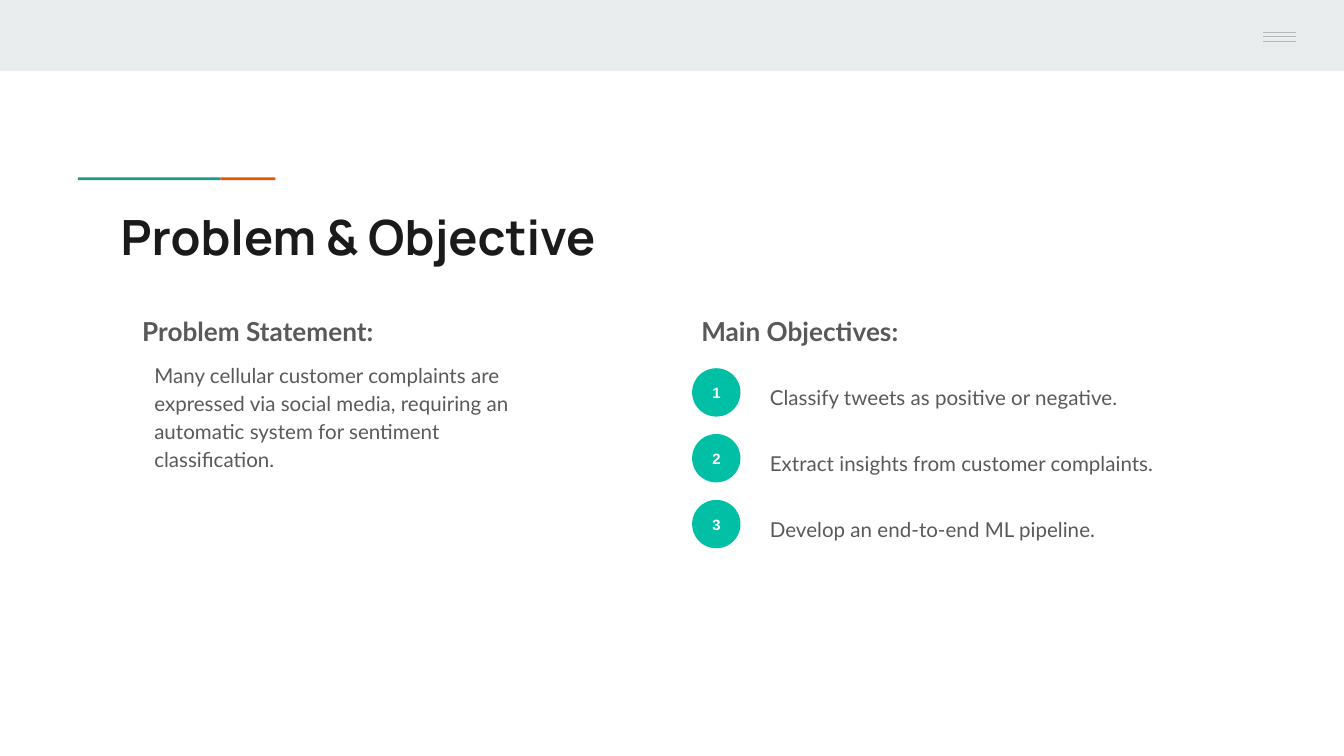
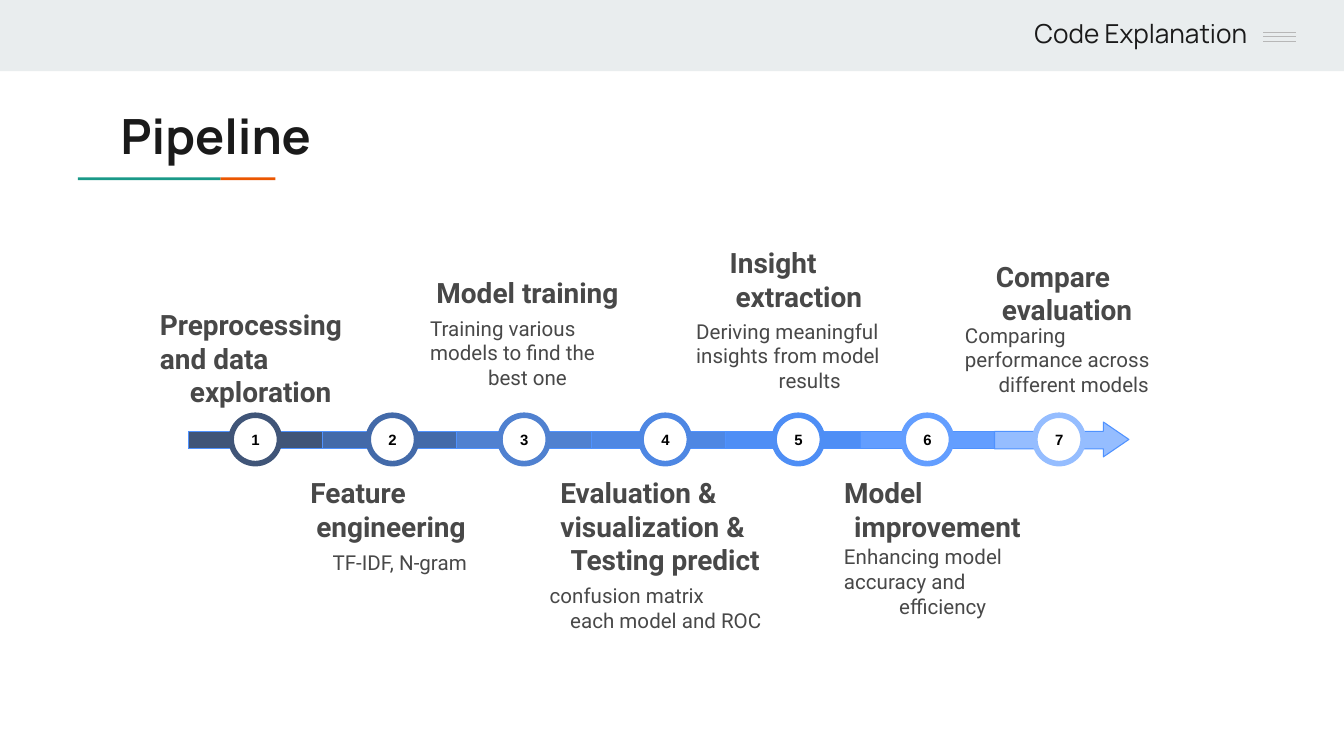
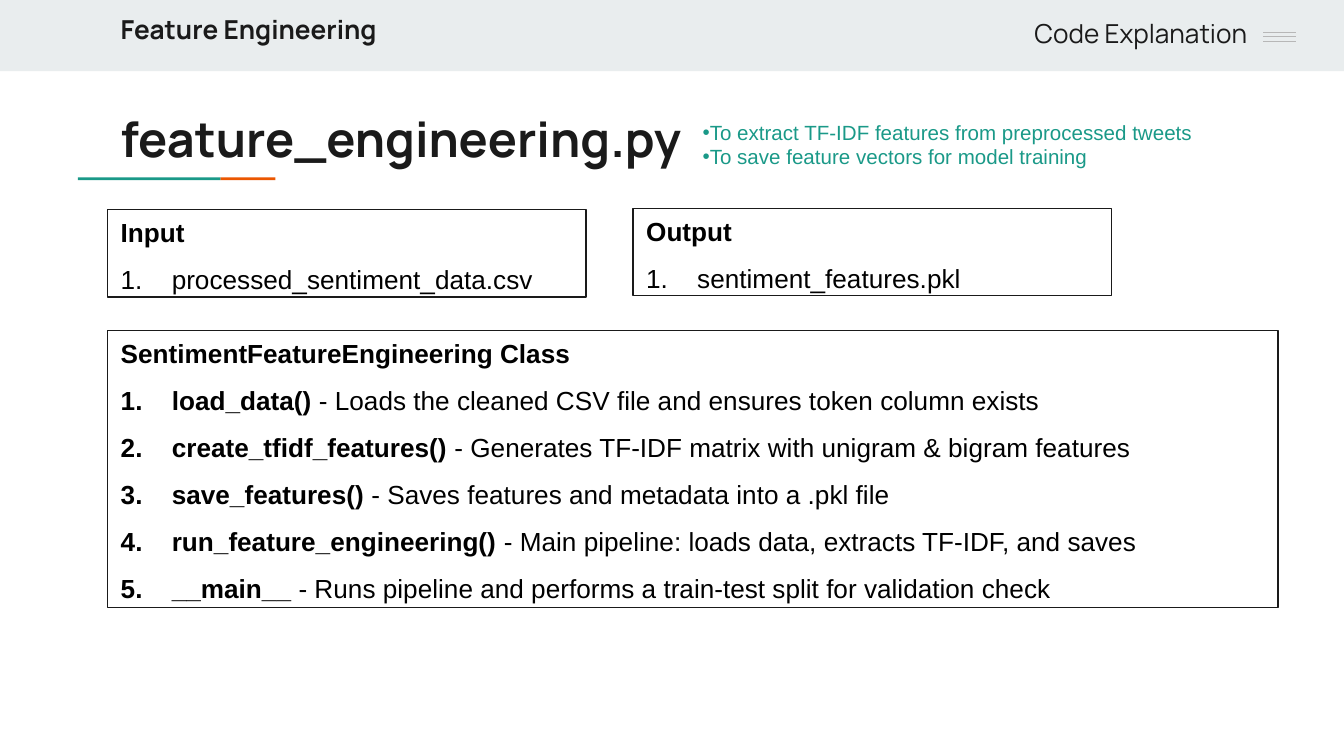
from dataclasses import dataclass, field

from lxml import etree
from pptx import Presentation
from pptx.dml.color import RGBColor
from pptx.enum import shapes, text
from pptx.oxml.ns import qn
from pptx.util import Inches, Pt


def style(name, size, color, bold=False):
    return {"name": name, "size": Pt(size), "bold": bold, "color": color}


@dataclass(frozen=True)
class Theme:
    """Colours and type styles shared by the slides."""
    band: str = "E9EDEE"
    menu: str = "B7B7B7"
    green: str = "1A9988"
    orange: str = "EB5600"
    badge: str = "00BFA5"
    white: str = "FFFFFF"
    ink: str = "1A1A1A"
    arrow_edge: str = "4F92FF"
    steps: tuple = ("405578", "436AA9", "5081D0", "4E87E3",
                    "4E8EF5", "639EFF", "95BDFF")
    styles: dict = field(default_factory=lambda: {
        "title": style("Manrope", 26, "1A1A1A", True),
        "topic": style("Manrope", 14, "1A1A1A", True),
        "section": style("Manrope", 14, "1A1A1A"),
        "heading": style("Lato", 14, "595959", True),
        "body": style("Lato", 11, "595959"),
        "badge": style("Arial", 8, "FFFFFF", True),
        "step": style("Arial", 8, "000000", True),
        "step_name": style("Roboto", 15, "484848", True),
        "step_note": style("Roboto", 11, "484848"),
        "purpose": style("Arial", 11, "1A9988"),
        "code": style("Arial", 14, "000000", True),
        "detail": style("Arial", 14, "000000"),
    })


THEME = Theme()
ALIGN = text.PP_ALIGN
ANCHOR = text.MSO_ANCHOR


# Text helpers
def add_run(paragraph, words, style_name):
    run = paragraph.add_run()
    run.text = words
    for key, value in THEME.styles[style_name].items():
        if key == "color":
            run.font.color.rgb = RGBColor.from_string(value)
        else:
            setattr(run.font, key, value)


def set_frame(frame, inset=(0.1, 0.1), anchor=ANCHOR.TOP):
    across, down = (Inches(value) for value in inset)
    settings = {"word_wrap": True, "vertical_anchor": anchor,
                "margin_left": across, "margin_right": across,
                "margin_top": down, "margin_bottom": down}
    for key, value in settings.items():
        setattr(frame, key, value)


def add_text(slide, at, lines, style_name, align=ALIGN.LEFT, spacing=None, **frame_settings):
    """Add a text box with one paragraph per line and return its paragraphs."""
    frame = slide.shapes.add_textbox(*map(Inches, at)).text_frame
    set_frame(frame, **frame_settings)
    for index, line in enumerate(lines):
        paragraph = frame.add_paragraph() if index else frame.paragraphs[0]
        paragraph.alignment = align
        if spacing:
            paragraph.line_spacing = spacing
        add_run(paragraph, line, style_name)
    return frame.paragraphs


def set_bullet(paragraph, left, first, font, tag, **attributes):
    properties = indent(paragraph, left, first)
    etree.SubElement(properties, qn("a:buFont"), typeface=font)
    etree.SubElement(properties, qn(tag), attributes)


def indent(paragraph, left, first):
    properties = paragraph._p.get_or_add_pPr()
    properties.set("marL", str(Inches(left)))
    properties.set("indent", str(Inches(first)))
    return properties


# Shape helpers
def paint(shape, fill=None, line=None, weight=0.75):
    shape.shadow.inherit = False
    if fill:
        shape.fill.solid()
        shape.fill.fore_color.rgb = RGBColor.from_string(fill)
    else:
        shape.fill.background()
    if line:
        shape.line.color.rgb = RGBColor.from_string(line)
        shape.line.width = Pt(weight)
    else:
        shape.line.fill.background()
    return shape


def add_box(slide, at, kind=shapes.MSO_SHAPE.RECTANGLE, **colours):
    return paint(slide.shapes.add_shape(kind, *map(Inches, at)), **colours)


def add_badge(slide, left, top, number, style_name, **colours):
    badge = add_box(slide, (left, top, 0.36, 0.36), shapes.MSO_SHAPE.OVAL, **colours)
    set_frame(badge.text_frame, anchor=ANCHOR.MIDDLE)
    paragraph = badge.text_frame.paragraphs[0]
    paragraph.alignment = ALIGN.CENTER
    add_run(paragraph, str(number), style_name)


def add_outline(slide, points, **colours):
    corners = [(Inches(x), Inches(y)) for x, y in points]
    builder = slide.shapes.build_freeform(*corners[0], scale=1.0)
    builder.add_line_segments(corners[1:], close=True)
    paint(builder.convert_to_shape(), **colours)


# Parts shared by the slides
def add_base(deck, title, title_top, section=None):
    slide = deck.slides.add_slide(deck.slide_layouts[6])
    for at, colour in (((0, 0, 10, 0.53), THEME.band),
                       ((1.64, 1.32, 0.41, 0.02), THEME.orange),
                       ((0.58, 1.32, 1.06, 0.02), THEME.green),
                       ((9.06, 0, 0.94, 0.5), THEME.band)):
        add_box(slide, at, fill=colour)
    for y in (0.24, 0.27, 0.31):
        bar = slide.shapes.add_connector(
            shapes.MSO_CONNECTOR.STRAIGHT, *map(Inches, (9.4, y, 9.64, y)))
        bar.line.color.rgb = RGBColor.from_string(THEME.menu)
        bar.line.width = Pt(0.75)
        etree.SubElement(bar._element.spPr, qn("a:effectLst"))
    add_text(slide, (0.8, title_top, 8.41, 0.59), [title], "title")
    if section:
        add_text(slide, (5.14, 0.03, 4.24, 0.43), [section], "section", ALIGN.RIGHT)
    return slide


# Slide 1: problem and objectives
def add_problem_slide(deck):
    slide = add_base(deck, "Problem & Objective", 1.44)
    for left, heading in ((0.8, "Problem Statement:"), (4.96, "Main Objectives:")):
        paragraphs = add_text(slide, (left, 2.25, 4.06, 0.59), [heading], "heading")
        indent(paragraphs[0], 0.5, -0.34)
    problem = ("Many cellular customer complaints are expressed via social media, "
               "requiring an automatic system for sentiment classification.")
    add_text(slide, (1.05, 2.57, 3.1, 1.15), [problem], "body", spacing=1.15)
    objectives = ("Classify tweets as positive or negative.",
                  "Extract insights from customer complaints.",
                  "Develop an end-to-end ML pipeline.")
    for index, objective in enumerate(objectives):
        top = 2.74 + 0.49 * index
        add_badge(slide, 5.15, top, index + 1, "badge", fill=THEME.badge)
        add_text(slide, (5.63, top, 3.1, 0.36), [objective], "body", spacing=1.15)


# Slide 2: pipeline timeline
STEP_LEFTS = (1.72, 2.74, 3.72, 4.77, 5.76, 6.72, 7.7)
STEP_NAMES = (
    ((1.19, 2.29, 1.5), ["Preprocessing", "and data", "exploration"]),
    ((2.31, 3.54, 1.2), ["Feature", "engineering"]),
    ((3.19, 2.05, 1.47), ["Model training"]),
    ((4.17, 3.54, 1.56), ["Evaluation &", "visualization &", "Testing predict"]),
    ((5.43, 1.83, 1.03), ["Insight", "extraction"]),
    ((6.28, 3.54, 1.39), ["Model", "improvement"]),
    ((7.41, 1.93, 1.06), ["Compare", "evaluation"]),
)
STEP_NOTES = (
    ((2.39, 4.09, 1.17), ["TF-IDF, N-gram"]),
    ((3.2, 2.35, 1.45), ["Training various", "models to find the", "best one"]),
    ((4.09, 4.34, 1.73), ["confusion matrix", "each model and ROC"]),
    ((5.18, 2.37, 1.69), ["Deriving meaningful", "insights from model", "results"]),
    ((6.28, 4.05, 1.47), ["Enhancing model", "accuracy and", "efficiency"]),
    ((7.18, 2.4, 1.62), ["Comparing", "performance across", "different models"]),
)


def add_timeline(slide):
    top, bottom = 3.21, 3.34
    for index, colour in enumerate(THEME.steps):
        left = 1.4 + index
        right, tip = left + 1, []
        if index == len(THEME.steps) - 1:
            right = left + 0.81
            tip = [(right, 3.14), (left + 1, 3.27), (right, 3.4)]
        points = [(left, top), (right, top), *tip, (right, bottom), (left, bottom)]
        add_outline(slide, points, fill=colour, line=THEME.arrow_edge, weight=0.56)
    for number, (left, colour) in enumerate(zip(STEP_LEFTS, THEME.steps), 1):
        add_badge(slide, left, 3.09, number, "step",
                  fill=THEME.white, line=colour, weight=3)


def add_pipeline_slide(deck):
    slide = add_base(deck, "Pipeline", 0.69, "Code Explanation")
    add_timeline(slide)
    for labels, style_name, line_height in ((STEP_NAMES, "step_name", 0.31),
                                            (STEP_NOTES, "step_note", 0.22)):
        for place, lines in labels:
            at = (*place, line_height * len(lines))
            paragraphs = add_text(slide, at, lines, style_name, inset=(0, 0))
            # Only the closing line of a label is centred
            paragraphs[-1].alignment = ALIGN.CENTER


# Slide 3: feature engineering module
def add_code_box(slide, at, heading, items):
    """Add an outlined box with a heading and a numbered list of (code, detail)."""
    frame = add_box(slide, at, line=THEME.ink).text_frame
    set_frame(frame, inset=(0.1, 0.05))
    frame.paragraphs[0].alignment = ALIGN.LEFT
    add_run(frame.paragraphs[0], heading, "code")
    for code, detail in items:
        paragraph = frame.add_paragraph()
        set_bullet(paragraph, 0.38, -0.38, "+mj-lt", "a:buAutoNum", type="arabicPeriod")
        paragraph.alignment = ALIGN.LEFT
        paragraph.line_spacing = 1.5
        if code:
            add_run(paragraph, code + " ", "code")
        add_run(paragraph, detail, "detail")


def add_module_slide(deck):
    slide = add_base(deck, "feature_engineering.py", 0.71, "Code Explanation")
    add_text(slide, (0.8, 0, 8.41, 0.59), ["Feature Engineering"], "topic")
    purposes = ["To extract TF-IDF features from preprocessed tweets",
                "To save feature vectors for model training"]
    for paragraph in add_text(slide, (5.13, 0.84, 4.57, 0.47), purposes, "purpose",
                              inset=(0.1, 0.05), anchor=ANCHOR.MIDDLE):
        set_bullet(paragraph, 0, 0, "Arial", "a:buChar", char="•")
    add_code_box(slide, (0.8, 1.56, 3.56, 0.65), "Input",
                 [("", "processed_sentiment_data.csv")])
    add_code_box(slide, (4.71, 1.55, 3.56, 0.65), "Output",
                 [("", "sentiment_features.pkl")])
    add_code_box(slide, (0.8, 2.46, 8.71, 2.06), "SentimentFeatureEngineering Class", [
        ("load_data()", "- Loads the cleaned CSV file and ensures token column exists"),
        ("create_tfidf_features()", "- Generates TF-IDF matrix with unigram & bigram features"),
        ("save_features()", "- Saves features and metadata into a .pkl file"),
        ("run_feature_engineering()", "- Main pipeline: loads data, extracts TF-IDF, and saves"),
        ("__main__", "- Runs pipeline and performs a train-test split for validation check"),
    ])


def main():
    deck = Presentation()
    # Widescreen, 16:9
    deck.slide_width, deck.slide_height = Inches(10), Inches(10 * 9 / 16)
    add_problem_slide(deck)
    add_pipeline_slide(deck)
    add_module_slide(deck)
    deck.save("out.pptx")


if __name__ == "__main__":
    main()
